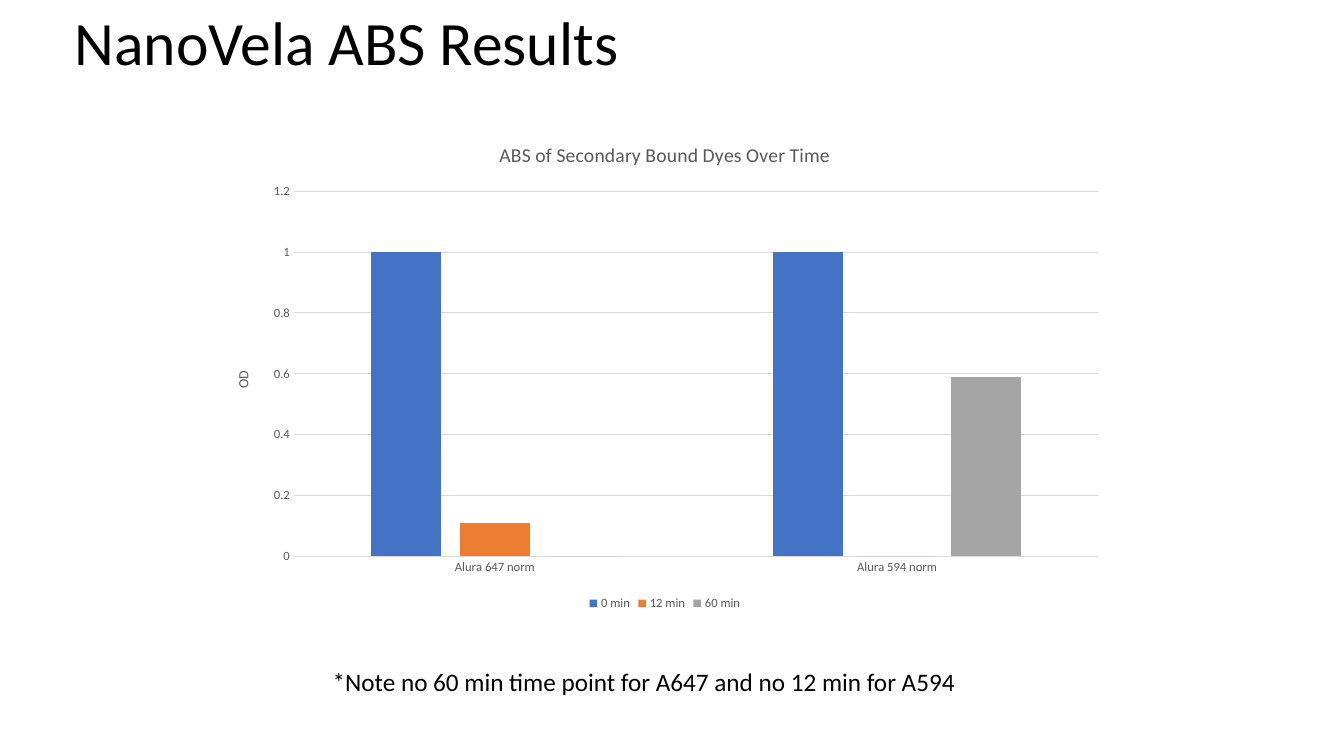
from dataclasses import dataclass

from pptx import Presentation
from pptx.chart.data import CategoryChartData
from pptx.dml.color import RGBColor
from pptx.enum.chart import XL_CHART_TYPE as ChartType
from pptx.enum.chart import XL_LEGEND_POSITION as LegendPosition
from pptx.enum.chart import XL_TICK_MARK as TickMark
from pptx.enum.text import MSO_ANCHOR as Anchor
from pptx.enum.text import MSO_AUTO_SIZE as AutoSize
from pptx.util import Inches, Pt


@dataclass(frozen=True)
class Theme:
    font: str = "Calibri"
    ink: str = "000000"
    muted: str = "595959"
    rule: str = "D9D9D9"
    series: tuple = ("4472C4", "ED7D31", "A5A5A5")
    title_size: float = 44
    note_size: float = 18
    chart_title_size: float = 14
    axis_title_size: float = 10
    label_size: float = 9
    rule_width: float = 0.75


THEME = Theme()
DYES = ("Alura 647 norm", "Alura 594 norm")
READINGS = {"0 min": (1, 1), "12 min": (0.11, 0), "60 min": (0, 0.59)}


def style_font(font, size, color):
    font.name = THEME.font
    font.size = Pt(size)
    font.bold = False
    font.color.rgb = RGBColor.from_string(color)


def style_line(line):
    line.color.rgb = RGBColor.from_string(THEME.rule)
    line.width = Pt(THEME.rule_width)


def add_text(page, box, text, size, wrap=True):
    shape = page.shapes.add_textbox(*map(Inches, box))
    frame = shape.text_frame
    frame.text = text
    frame.word_wrap = wrap
    style_font(frame.paragraphs[0].runs[0].font, size, THEME.ink)
    return frame


def add_heading(page, box):
    frame = add_text(page, box, "NanoVela ABS Results", THEME.title_size)
    frame.vertical_anchor = Anchor.MIDDLE
    frame.paragraphs[0].line_spacing = 0.9


def add_note(page, box):
    text = "*Note no 60 min time point for A647 and no 12 min for A594"
    frame = add_text(page, box, text, THEME.note_size, wrap=False)
    frame.auto_size = AutoSize.SHAPE_TO_FIT_TEXT


def set_chart_text(frame, text, size):
    frame.text = text
    style_font(frame.paragraphs[0].runs[0].font, size, THEME.muted)


def style_axes(chart):
    for axis in (chart.category_axis, chart.value_axis):
        axis.major_tick_mark = TickMark.NONE
        axis.minor_tick_mark = TickMark.NONE
        style_font(axis.tick_labels.font, THEME.label_size, THEME.muted)
    style_line(chart.category_axis.format.line)

    values = chart.value_axis
    values.minimum_scale = 0
    values.maximum_scale = 1.2
    values.major_unit = 0.2
    values.format.line.fill.background()
    values.has_major_gridlines = True
    style_line(values.major_gridlines.format.line)
    set_chart_text(values.axis_title.text_frame, "OD", THEME.axis_title_size)


def add_dye_chart(page, box):
    data = CategoryChartData()
    data.categories = DYES
    for name, values in READINGS.items():
        data.add_series(name, values)
    frame = page.shapes.add_chart(ChartType.COLUMN_CLUSTERED, *map(Inches, box), data)
    chart = frame.chart
    style_font(chart.font, THEME.axis_title_size, THEME.ink)
    set_chart_text(
        chart.chart_title.text_frame,
        "ABS of Secondary Bound Dyes Over Time",
        THEME.chart_title_size,
    )
    style_axes(chart)

    chart.has_legend = True
    chart.legend.position = LegendPosition.BOTTOM
    chart.legend.include_in_layout = False
    style_font(chart.legend.font, THEME.label_size, THEME.muted)

    plot = chart.plots[0]
    plot.gap_width = 219
    plot.overlap = -27
    plot.vary_by_categories = False
    for series, color in zip(plot.series, THEME.series):
        series.format.fill.solid()
        series.format.fill.fore_color.rgb = RGBColor.from_string(color)


def main():
    deck = Presentation()
    deck.slide_width = Inches(13.33)
    deck.slide_height = Inches(7.5)
    page = deck.slides.add_slide(deck.slide_layouts[6])
    add_heading(page, (0.64, 0, 11.5, 0.9))
    add_dye_chart(page, (2.12, 1.22, 8.95, 4.88))
    add_note(page, (3.2, 6.56, 6.51, 0.4))
    deck.save("out.pptx")


if __name__ == "__main__":
    main()
